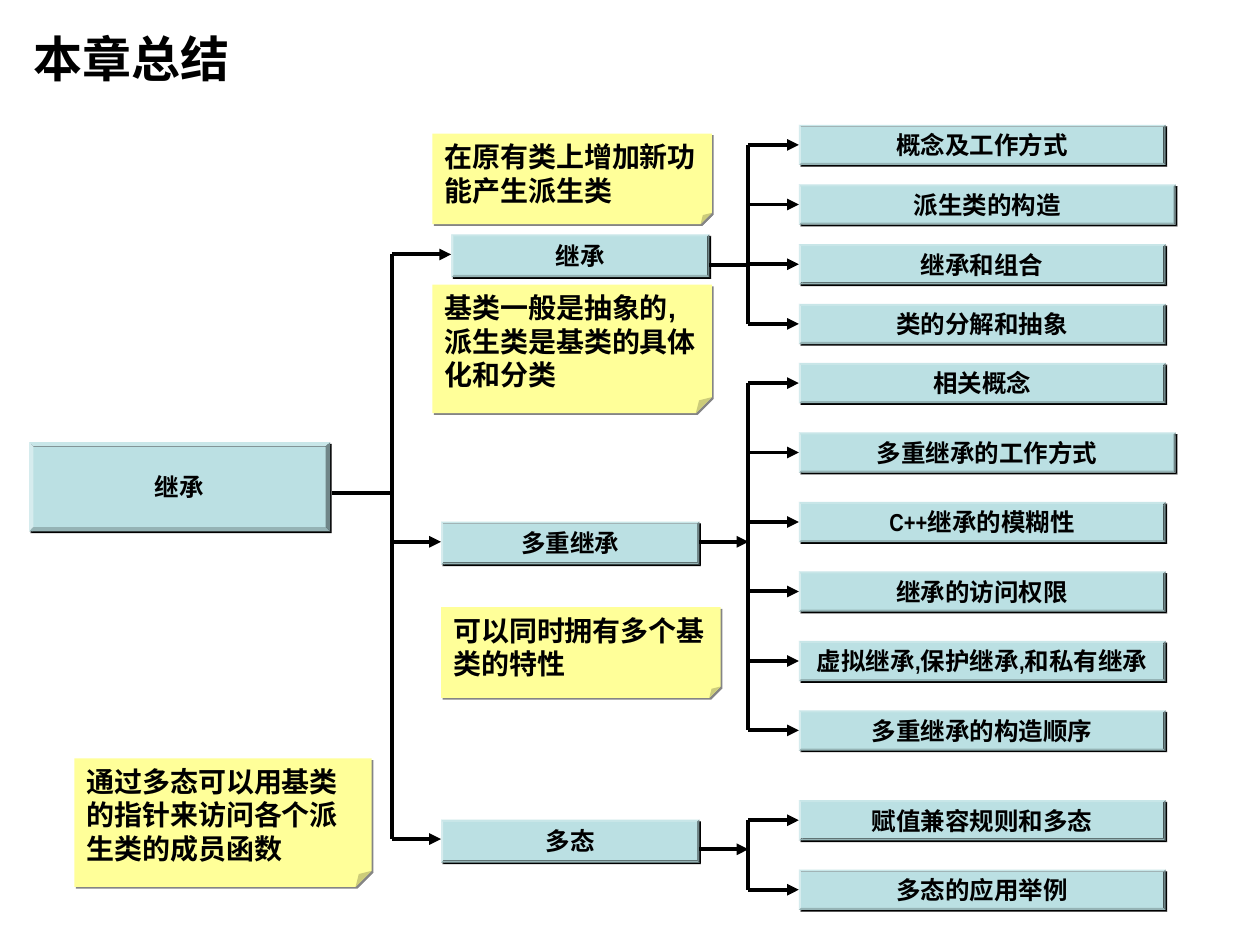
from lxml import etree
from pptx import Presentation
from pptx.dml.color import RGBColor
from pptx.enum import shapes, text
from pptx.oxml import ns
from pptx.util import Pt

BLACK = RGBColor(0, 0, 0)
GREY = RGBColor(0x85, 0x85, 0x85)
TEAL = RGBColor(0xBB, 0xE0, 0xE3)
YELLOW = RGBColor(0xFF, 0xFF, 0x99)

ROOT_X, TRUNK_X, LEAF_X = 223.9, 427.7, 456.5
LEAF_H = 23
LEAF_W, WIDE_W = 209.5, 215.3
TOPIC_W, TOPIC_H = 147.6, 24.5

# topic, left, top, branch y, stem y, stem has arrow, first leaf top, pitch, leaves
TOPICS = [
    ("继承", 257.8, 133.9, 145.4, 151.2, False, 71.3, 34.1,
     ["概念及工作方式", "派生类的构造", "继承和组合", "类的分解和抽象"]),
    ("多重继承", 252, 298.1, 309.6, 309.6, True, 207.4, 39.7,
     ["相关概念", "多重继承的工作方式", "C++继承的模糊性", "继承的访问权限",
      "虚拟继承,保护继承,和私有继承", "多重继承的构造顺序"]),
    ("多态", 252, 468.4, 479.5, 485.3, True, 457.2, 39.7,
     ["赋值兼容规则和多态", "多态的应用举例"]),
]
WIDE = {"派生类的构造", "多重继承的工作方式"}
NOTES = [
    ("在原有类上增加新功能产生派生类", 247, 76.3, 159.8, 51.8),
    ("基类一般是抽象的,派生类是基类的具体化和分类", 247, 162.7, 159.8, 73.4),
    ("可以同时拥有多个基类的特性", 252, 347, 159.8, 51.8),
    ("通过多态可以用基类的指针来访问各个派生类的成员函数", 42.5, 433.4, 169.9, 73.4),
]


def sub(parent, tag, **attrs):
    return etree.SubElement(parent, ns.qn(tag), attrs)


def adjust(shape, share):
    """Set the depth of the bevel or of the folded corner."""
    guides = shape.element.spPr.find(".//" + ns.qn("a:avLst"))
    for guide in list(guides):
        guides.remove(guide)
    sub(guides, "a:gd", name="adj", fmla=f"val {round(share * 100000)}")


def shade(shape, color):
    """Give the shape a hard shadow to its lower right."""
    fx = sub(shape.element.spPr, "a:effectLst")
    drop = sub(fx, "a:outerShdw", dist=str(Pt(1.4)), dir="2700000",
               algn="ctr", rotWithShape="0")
    sub(drop, "a:srgbClr", val=str(color))


def write(shape, words, size, font, align, wrap=True):
    frame = shape.text_frame
    frame.word_wrap = wrap
    frame.vertical_anchor = text.MSO_ANCHOR.MIDDLE
    para = frame.paragraphs[0]
    para.alignment = align
    run = para.add_run()
    run.text = words
    for name, value in {"size": Pt(size), "name": font, "bold": True}.items():
        setattr(run.font, name, value)
    run.font.color.rgb = BLACK


def panel(slide, kind, share, fill, shadow, x, y, w, h):
    shape = slide.shapes.add_shape(kind, Pt(x), Pt(y), Pt(w), Pt(h))
    adjust(shape, share)
    shape.fill.solid()
    shape.fill.fore_color.rgb = fill
    shape.line.fill.background()
    shade(shape, shadow)
    return shape


def box(slide, words, x, y, w, h):
    shape = panel(slide, shapes.MSO_SHAPE.BEVEL, 0.05, TEAL, BLACK, x, y, w, h)
    write(shape, words, 14, "Arial Narrow", text.PP_ALIGN.CENTER, wrap=False)


def note(slide, words, x, y, w, h):
    shape = panel(slide, shapes.MSO_SHAPE.FOLDED_CORNER, 0.125, YELLOW, GREY,
                  x, y, w, h)
    write(shape, words, 16, "Arial", text.PP_ALIGN.LEFT)


def line(slide, x1, y1, x2, y2, arrow=False):
    link = slide.shapes.add_connector(shapes.MSO_CONNECTOR.STRAIGHT,
                                      Pt(x1), Pt(y1), Pt(x2), Pt(y2))
    link.line.width = Pt(2.25)
    link.line.color.rgb = BLACK
    props = link.element.spPr
    if arrow:
        sub(props.find(ns.qn("a:ln")), "a:tailEnd", type="triangle")
    sub(props, "a:effectLst")


def branch(slide, topic):
    """Draw one topic, its arrow from the root trunk, and its leaves."""
    words, x, y, tip, stem, head, top, pitch, leaves = topic
    line(slide, ROOT_X, tip, x, tip, arrow=True)
    box(slide, words, x, y, TOPIC_W, TOPIC_H)
    line(slide, x + TOPIC_W, stem, TRUNK_X, stem, arrow=head)
    mid = top + LEAF_H / 2
    line(slide, TRUNK_X, mid, TRUNK_X, mid + pitch * (len(leaves) - 1))
    for i, leaf in enumerate(leaves):
        drop = i * pitch
        line(slide, TRUNK_X, mid + drop, LEAF_X, mid + drop, arrow=True)
        box(slide, leaf, LEAF_X, top + drop,
            WIDE_W if leaf in WIDE else LEAF_W, LEAF_H)


def main():
    prs = Presentation()
    prs.slide_width, prs.slide_height = Pt(720), Pt(540)
    slide = prs.slides.add_slide(prs.slide_layouts[6])

    title = slide.shapes.add_textbox(Pt(12.2), Pt(0), Pt(540), Pt(66.2))
    write(title, "本章总结", 28, "Arial", text.PP_ALIGN.LEFT)

    box(slide, "继承", 16.6, 252.7, 172, 51)
    line(slide, 190, 281.5, ROOT_X, 281.5)
    line(slide, ROOT_X, TOPICS[0][3], ROOT_X, TOPICS[-1][3])
    for topic in TOPICS:
        branch(slide, topic)
    for item in NOTES:
        note(slide, *item)

    prs.save("out.pptx")


if __name__ == "__main__":
    main()
